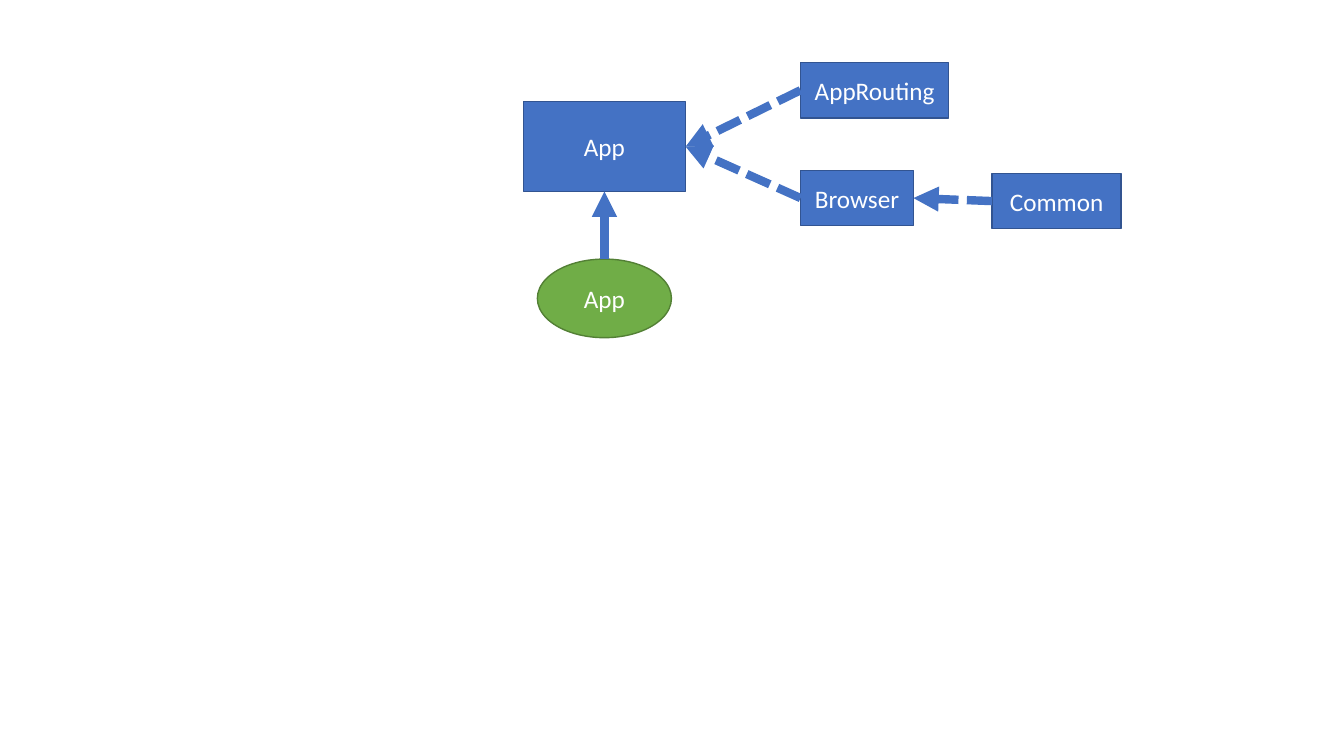
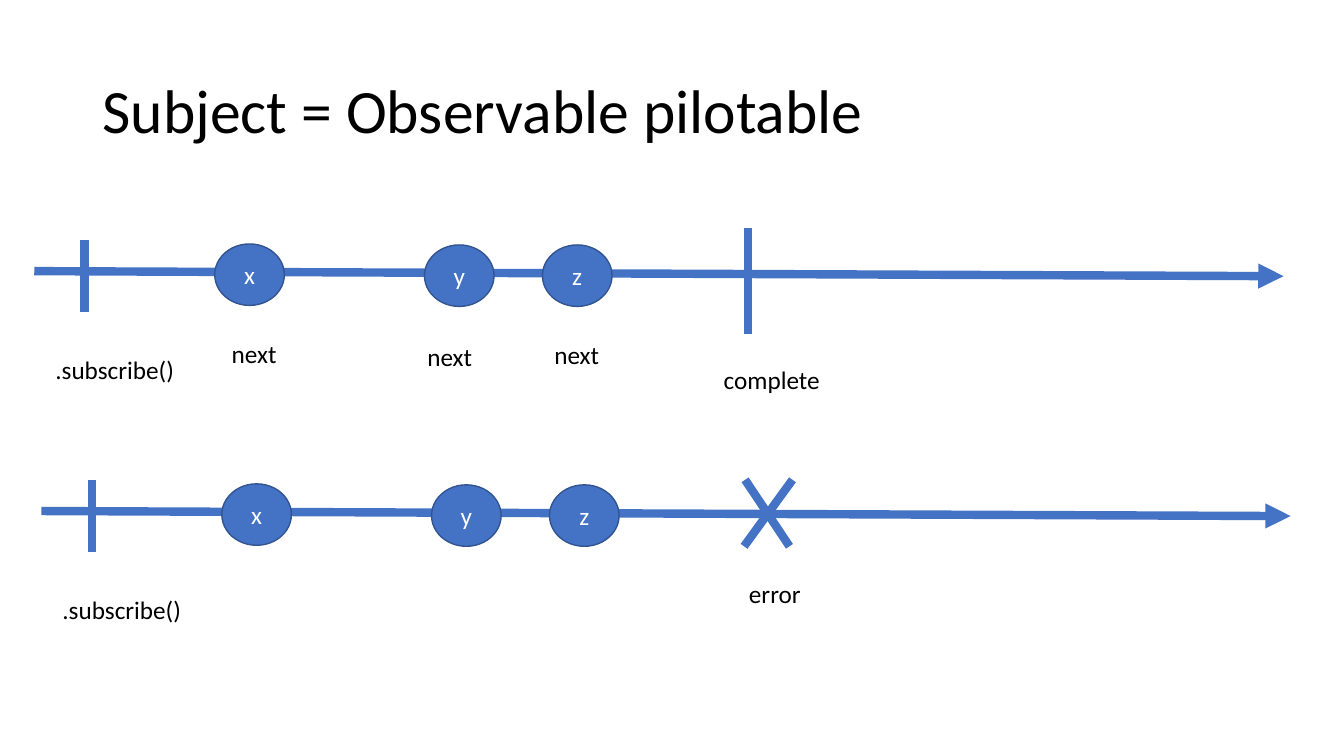
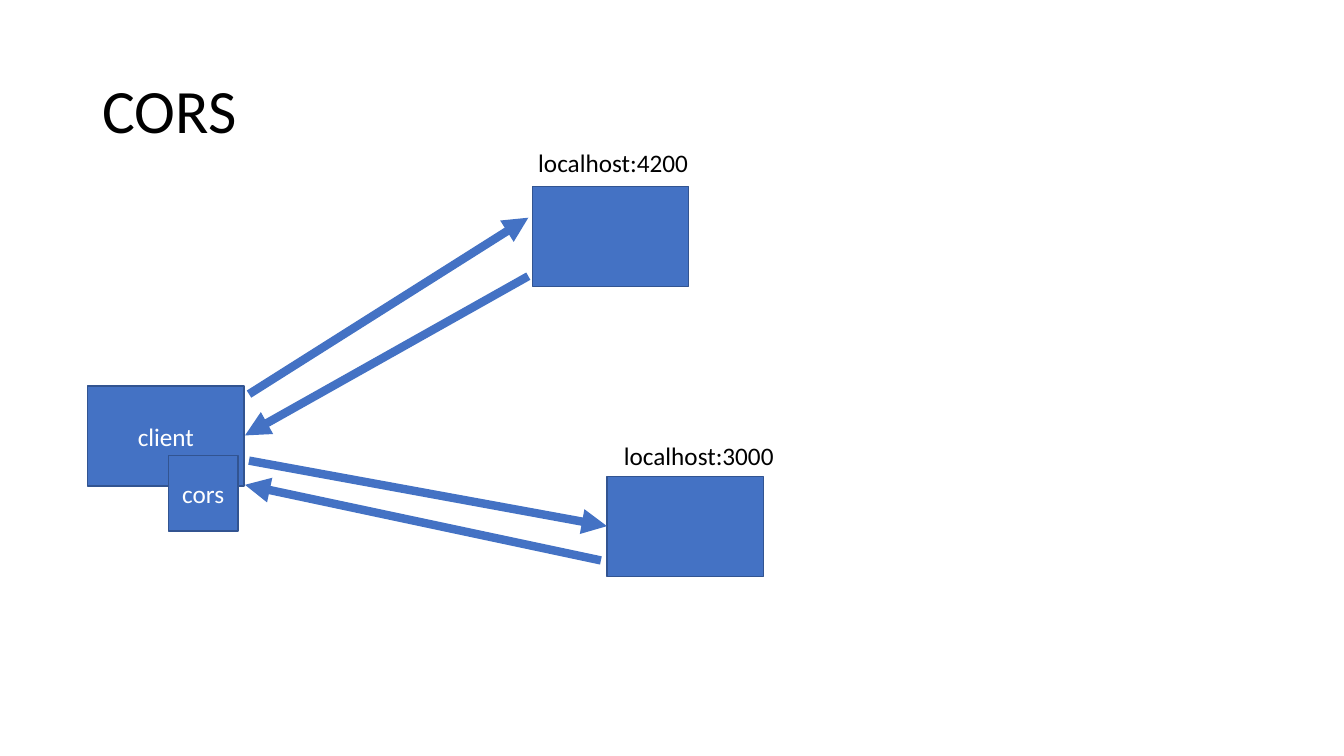
import pptx
import pptx.util
import pptx.dml.color
import pptx.enum.dml
import pptx.enum.shapes
import pptx.enum.text
import pptx.oxml
import pptx.oxml.ns

Inches = pptx.util.Inches
Pt = pptx.util.Pt
KIND = pptx.enum.shapes.MSO_SHAPE
DASH = pptx.enum.dml.MSO_LINE.SQUARE_DOT
ALIGN = pptx.enum.text.PP_ALIGN
ANCHOR = pptx.enum.text.MSO_ANCHOR
FIT = pptx.enum.text.MSO_AUTO_SIZE
COLORS = {"blue": "4472C4", "navy": "325491", "green": "70AD47",
          "moss": "538035", "white": "FFFFFF", "black": "000000"}
FONT = "Calibri"
TOP, LEFT, BOTTOM, RIGHT = range(4)


def color(name):
    """Return the named colour."""
    return pptx.dml.color.RGBColor.from_string(COLORS[name])


def write(para, text, size, ink):
    """Add one styled run to a paragraph."""
    run = para.add_run()
    run.text = text
    run.font.name = FONT
    run.font.size = Pt(size)
    run.font.color.rgb = color(ink)


def node(slide, box, text="", kind=KIND.RECTANGLE, fill="blue", edge="navy"):
    """Draw a filled shape with centred text."""
    shape = slide.shapes.add_shape(kind, *map(Inches, box))
    shape.shadow.inherit = False
    shape.fill.solid()
    shape.fill.fore_color.rgb = color(fill)
    shape.line.color.rgb = color(edge)
    shape.line.width = Pt(1)
    if text:
        frame = shape.text_frame
        frame.vertical_anchor = ANCHOR.MIDDLE
        para = frame.paragraphs[0]
        para.alignment = ALIGN.CENTER
        write(para, text, 18, "white")
    return shape


def line(slide, start, end, arrow=False, dash=None):
    """Draw a thick straight line."""
    link = slide.shapes.add_connector(
        pptx.enum.shapes.MSO_CONNECTOR.STRAIGHT, *map(Inches, start + end))
    link.line.color.rgb = color("blue")
    link.line.width = Pt(6)
    if dash:
        link.line.dash_style = dash
    if arrow:
        tail = pptx.oxml.parse_xml(
            '<a:tailEnd %s type="triangle"/>' % pptx.oxml.ns.nsdecls("a"))
        link.line._get_or_add_ln().append(tail)
    props = link._element.spPr
    props.append(pptx.oxml.parse_xml(
        "<a:effectLst %s/>" % pptx.oxml.ns.nsdecls("a")))
    return link


def join(slide, source, exit, target, entry, dash=None):
    """Attach an arrow to the sides of two shapes."""
    link = line(slide, (0, 0), (0, 0), True, dash)
    link.begin_connect(source, exit)
    link.end_connect(target, entry)


def label(slide, left, top, width, text):
    """Write a caption on one line."""
    area = slide.shapes.add_textbox(*map(Inches, (left, top, width, 0.4)))
    frame = area.text_frame
    frame.word_wrap = False
    frame.auto_size = FIT.SHAPE_TO_FIT_TEXT
    write(frame.paragraphs[0], text, 18, "black")


def title(slide, text):
    """Write the slide title."""
    area = slide.shapes.add_textbox(*map(Inches, (0.92, 0.4, 11.5, 1.45)))
    frame = area.text_frame
    frame.word_wrap = True
    frame.vertical_anchor = ANCHOR.MIDDLE
    para = frame.paragraphs[0]
    para.line_spacing = 0.9
    write(para, text, 44, "black")


def modules(slide, x, y):
    """Draw the module tree from its top left corner."""
    app = node(slide, (x, y + 0.39, 1.61, 0.89), "App")
    root = node(slide, (x + 0.14, y + 1.95, 1.33, 0.78), "App",
                KIND.OVAL, "green", "moss")
    route = node(slide, (x + 2.75, y, 1.47, 0.55), "AppRouting")
    browse = node(slide, (x + 2.75, y + 1.07, 1.12, 0.55), "Browser")
    common = node(slide, (x + 4.65, y + 1.1, 1.28, 0.55), "Common")
    join(slide, root, TOP, app, BOTTOM)
    for source, target in ((route, app), (browse, app), (common, browse)):
        join(slide, source, LEFT, target, RIGHT, DASH)


def stream(slide, x, y):
    """Draw a time axis with its start and three values."""
    line(slide, (x, y + 0.43), (x + 12.39, y + 0.48), True)
    line(slide, (x + 0.5, y + 0.12), (x + 0.5, y + 0.84))
    label(slide, x + 0.11, y + 1.21, 1.39, ".subscribe()")
    for text, dx, dy in (("x", 1.79, 0.16), ("y", 3.87, 0.17), ("z", 5.04, 0.17)):
        node(slide, (x + dx, y + dy, 0.69, 0.61), text, KIND.OVAL)


def complete(slide, x, y):
    """Draw a stream that completes."""
    stream(slide, x, y)
    line(slide, (x + 7.08, y), (x + 7.08, y + 1.05))
    label(slide, x + 6.74, y + 1.31, 1.17, "complete")
    for dx, dy in ((1.86, 1.05), (3.8, 1.08), (5.06, 1.06)):
        label(slide, x + dx, y + dy, 0.65, "next")


def error(slide, x, y):
    """Draw a stream that ends with an error."""
    stream(slide, x, y)
    for start, end in ((6.98, 7.42), (7.45, 6.97)):
        line(slide, (x + start, y + 0.12), (x + end, y + 0.78))
    label(slide, x + 6.92, y + 1.05, 0.72, "error")


def cors(slide, x, y):
    """Draw a client exchanging with two servers."""
    for text, dx, dy in (("client", 0, 2.42), ("", 4.41, 0.44), ("", 5.15, 3.32)):
        node(slide, (x + dx, y + dy, 1.55, 0.99), text)
    label(slide, x + 4.37, y, 1.7, "localhost:4200")
    label(slide, x + 5.22, y + 2.91, 1.7, "localhost:3000")
    for ax, ay, bx, by in ((1.6, 2.5, 4.37, 0.75), (4.37, 1.33, 1.56, 2.91),
                           (1.6, 3.16, 5.15, 3.81), (5.09, 4.15, 1.56, 3.4)):
        line(slide, (x + ax, y + ay), (x + bx, y + by), True)
    node(slide, (x + 0.8, y + 3.11, 0.69, 0.75), "cors")


deck = pptx.Presentation()
deck.slide_width = Inches(13.33)
deck.slide_height = Inches(7.5)
tree, subject, access = [deck.slides.add_slide(deck.slide_layouts[6])
                         for _ in range(3)]
modules(tree, 5.19, 0.62)
title(subject, "Subject = Observable pilotable")
complete(subject, 0.34, 2.26)
error(subject, 0.41, 4.64)
title(access, "CORS")
cors(access, 0.87, 1.41)
deck.save("out.pptx")
